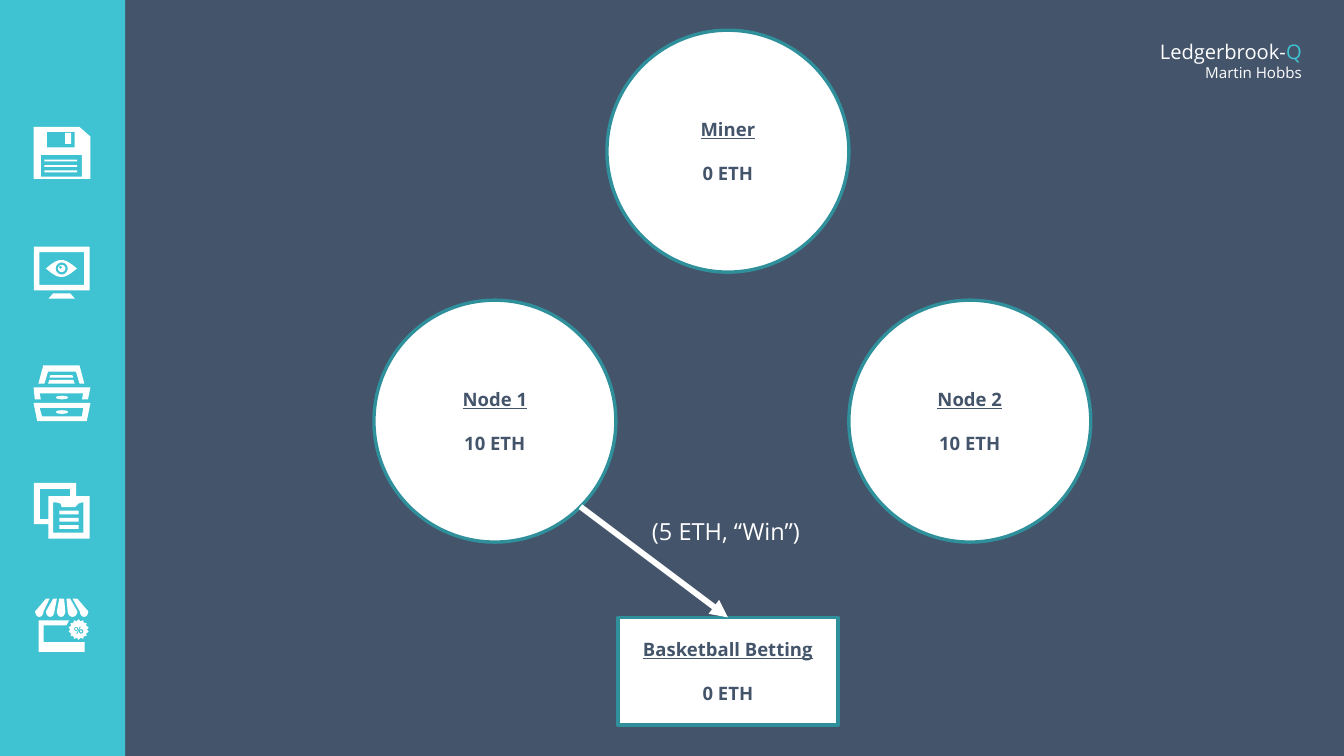
from dataclasses import dataclass
from math import cos, pi, sin, sqrt

from lxml.etree import SubElement
from pptx import Presentation
from pptx.dml.color import RGBColor
from pptx.enum.shapes import MSO_CONNECTOR, MSO_SHAPE
from pptx.enum.text import MSO_ANCHOR, PP_ALIGN
from pptx.oxml.ns import qn
from pptx.util import Pt


@dataclass(frozen=True)
class Theme:
    font: str = "Open Sans"
    ground: RGBColor = RGBColor(0x44, 0x54, 0x6A)
    accent: RGBColor = RGBColor(0x3F, 0xC3, 0xD2)
    outline: RGBColor = RGBColor(0x2F, 0x90, 0x9B)
    white: RGBColor = RGBColor(0xFF, 0xFF, 0xFF)
    brand_size: float = 12
    author_size: float = 9
    party_size: float = 11
    payment_size: float = 14


THEME = Theme()
ICON_UNIT = Pt(0.72)
ICON_STEPS = 10


def rect(left, top, right, bottom):
    return [(left, top), (right, top), (right, bottom), (left, bottom)]


def arc(x, y, rx, ry, start=0, sweep=2 * pi, steps=24):
    angles = [start + sweep * step / steps for step in range(steps + 1)]
    return [(x + rx * cos(angle), y + ry * sin(angle)) for angle in angles]


def eyelid(left, right, middle, height):
    steps = [step / 12 for step in range(13)]
    upper = [(left + (right - left) * s, middle - height * sin(pi * s)) for s in steps]
    return upper + [(x, 2 * middle - y) for x, y in reversed(upper[1:-1])]


def awning(top_left, top_right, left, right):
    half = (right - left) / 2
    return [(top_left, 0), (top_right, 0)] + arc(left + half, 10.5, half, 4.5, 0, pi, 10)


def badge(x, y, outer, inner, teeth):
    radii = [(outer, inner)[step % 2] for step in range(2 * teeth)]
    return [(x + r * sin(pi * step / teeth), y - r * cos(pi * step / teeth))
            for step, r in enumerate(radii)]


FLOPPY = [
    [(0, 0), (38, 0), (47, 8), (47, 43), (0, 43)],
    rect(6, 23, 40, 41), rect(9, 27, 36, 28.5), rect(9, 31.5, 36, 33),
    rect(9, 36, 36, 37.5), rect(11, 4, 34, 17), rect(26, 5, 31, 14),
]
MONITOR = [
    rect(0, 0, 46, 36), rect(4.5, 4.5, 41.5, 31.5),
    [(16, 38.5), (30, 38.5), (34, 43), (12, 43)],
    eyelid(10, 35.5, 18, 7), arc(23, 18, 5, 5), arc(23, 18, 3, 3),
    arc(22, 17, 1.2, 1.2),
]
DRAWERS = [
    [(0, 18), (47, 18), (45, 28), (40, 28), (41, 23), (5, 23), (6, 28), (1, 28)],
    [(0, 31), (47, 31), (44, 46), (3, 46)],
    [(5, 35), (41, 35), (40, 42), (7, 42)],
    arc(23.5, 26.5, 5, 1.5), arc(23.5, 38.5, 5, 1.5),
    [(9, 15), (12, 5), (35, 5), (38, 15), (42, 15), (38, 0), (8, 0), (4, 15)],
    [(12, 15), (34, 15), (33, 12), (13, 12)],
    [(14, 8), (32, 8), (33, 10), (13, 10)],
]
COPIES = [
    [(0, 0), (35, 0), (35, 11), (46, 11), (46, 46), (12, 46), (12, 34), (0, 34)],
    [(5, 5), (30, 5), (30, 11), (12, 11), (12, 30), (5, 30)],
    [(16, 41), (16, 16), (18, 16), (22, 17), (23, 20), (34, 20), (37, 17),
     (40, 16), (41, 16), (41, 41)],
] + [rect(21, top, 37, top + 3) for top in (23, 29, 35)]
STALL = [
    awning(9, 12, 0, 7), awning(15, 18, 9, 16), awning(20, 24, 18, 25),
    awning(26, 29, 27, 35), awning(31, 35, 37, 44),
    [(3, 18), (28, 18), (26, 22), (7, 22), (7, 36), (41, 36), (41, 44), (3, 44)],
    badge(36, 25.5, 8.5, 7, 14),
    arc(34, 25, 1.7, 1.7), arc(34, 25, 0.8, 0.8),
    arc(38, 27, 1.9, 1.9), arc(38, 27, 0.8, 0.8),
    [(37, 23), (38, 23), (35, 29), (34, 29)],
]
RAIL_ICONS = [(FLOPPY, 20.5, 75.6), (MONITOR, 20.7, 146.9), (DRAWERS, 20.5, 217.6),
              (COPIES, 20.7, 287.5), (STALL, 21.4, 356.4)]


def paint(shape, fill, outline=None):
    shape.shadow.inherit = False
    shape.fill.solid()
    shape.fill.fore_color.rgb = fill
    if outline is None:
        shape.line.fill.background()
    else:
        shape.line.color.rgb = outline
        shape.line.width = Pt(2)


def style(run, size, color, bold=False, underline=False):
    run.font.name = THEME.font
    run.font.size = Pt(size)
    run.font.color.rgb = color
    run.font.bold = bold
    run.font.underline = underline


def draw_icon(slide, contours, left, top):
    grid = [[(x * ICON_STEPS, y * ICON_STEPS) for x, y in contour] for contour in contours]
    builder = slide.shapes.build_freeform(*grid[0][0], scale=ICON_UNIT / ICON_STEPS)
    for number, contour in enumerate(grid):
        if number:
            builder.move_to(*contour[0])
        builder.add_line_segments(contour[1:], close=True)
    paint(builder.convert_to_shape(Pt(left), Pt(top)), THEME.white)


def draw_rail(slide, left, top, width, height):
    rail = slide.shapes.add_shape(MSO_SHAPE.RECTANGLE, Pt(left), Pt(top), Pt(width), Pt(height))
    paint(rail, THEME.accent)
    for contours, indent, offset in RAIL_ICONS:
        draw_icon(slide, contours, left + indent, top + offset)


def draw_header(slide, left, top, width, height):
    header = slide.shapes.add_textbox(Pt(left), Pt(top), Pt(width), Pt(height))
    frame = header.text_frame
    frame.word_wrap = True
    frame.vertical_anchor = MSO_ANCHOR.MIDDLE
    frame.margin_top = frame.margin_bottom = Pt(7.2)
    frame.text = "Ledgerbrook-\nMartin Hobbs"
    brand, author = frame.paragraphs
    brand.alignment = author.alignment = PP_ALIGN.RIGHT
    suffix = brand.add_run()
    suffix.text = "Q"
    style(brand.runs[0], THEME.brand_size, THEME.white)
    style(suffix, THEME.brand_size, THEME.accent)
    style(author.runs[0], THEME.author_size, THEME.white)


def draw_party(slide, outline, title, balance, left, top, width, height):
    party = slide.shapes.add_shape(outline, Pt(left), Pt(top), Pt(width), Pt(height))
    paint(party, THEME.white, THEME.outline)
    frame = party.text_frame
    frame.vertical_anchor = MSO_ANCHOR.MIDDLE
    frame.text = f"{title}\n{balance}"
    for paragraph, underline in zip(frame.paragraphs, (True, False)):
        paragraph.alignment = PP_ALIGN.CENTER
        style(paragraph.runs[0], THEME.party_size, THEME.ground, True, underline)
    frame.paragraphs[1].space_before = Pt(13)


def draw_payment(slide, start, end):
    payment = slide.shapes.add_connector(
        MSO_CONNECTOR.STRAIGHT, *(Pt(length) for length in start + end))
    payment.line.color.rgb = THEME.white
    payment.line.width = Pt(3.5)
    SubElement(payment.line._get_or_add_ln(), qn("a:tailEnd"), type="triangle")
    SubElement(payment._element.spPr, qn("a:effectLst"))
    label = slide.shapes.add_textbox(Pt(start[0] + 35.5), Pt(start[1] + 2.5), Pt(104), Pt(24.5))
    label.text_frame.word_wrap = False
    label.text_frame.text = "(5 ETH, “Win”)"
    style(label.text_frame.paragraphs[0].runs[0], THEME.payment_size, THEME.white)


def draw_network(slide, left, top, width, height):
    size = 144
    center = left + 210.7
    node_top = top + 160.7
    contract_width, contract_height = 131, 64
    contract_top = top + height - contract_height
    circle, box = MSO_SHAPE.OVAL, MSO_SHAPE.RECTANGLE
    draw_party(slide, circle, "Miner", "0 ETH", center - size / 2, top, size, size)
    draw_party(slide, circle, "Node 1", "10 ETH", left, node_top, size, size)
    draw_party(slide, circle, "Node 2", "10 ETH", left + width - size, node_top, size, size)
    draw_party(slide, box, "Basketball Betting", "0 ETH", center - contract_width / 2,
               contract_top, contract_width, contract_height)
    reach = size / 2 * (1 + 1 / sqrt(2))
    draw_payment(slide, (left + reach, node_top + reach), (center, contract_top))


def main():
    deck = Presentation()
    deck.slide_width, deck.slide_height = Pt(800), Pt(450)
    slide = deck.slides.add_slide(deck.slide_layouts[6])
    slide.background.fill.solid()
    slide.background.fill.fore_color.rgb = THEME.ground
    draw_header(slide, 663, 18, 119, 36)
    draw_rail(slide, -0.5, 0, 75, 450)
    draw_network(slide, 222.6, 18, 426.7, 413.5)
    deck.save("out.pptx")


if __name__ == "__main__":
    main()
